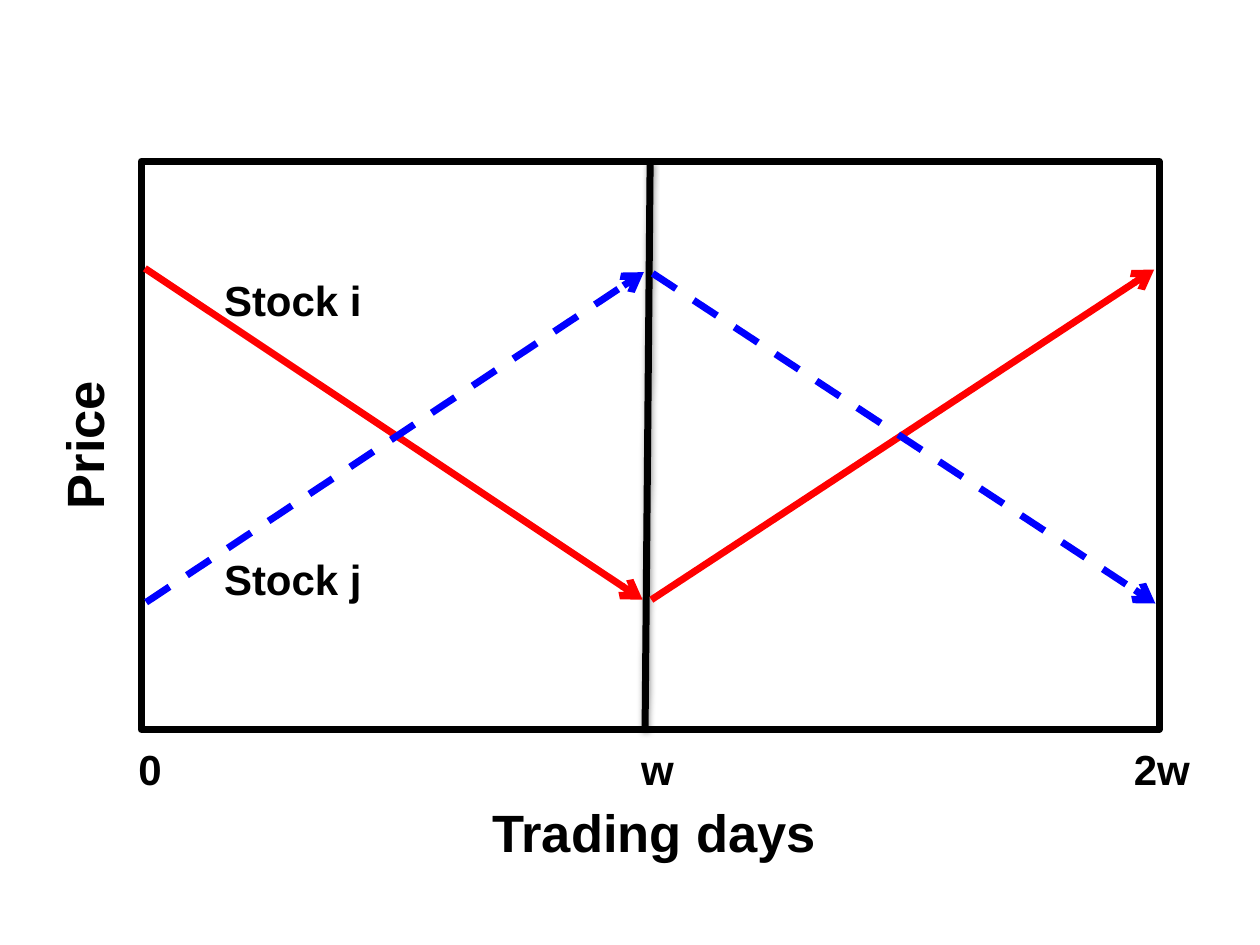
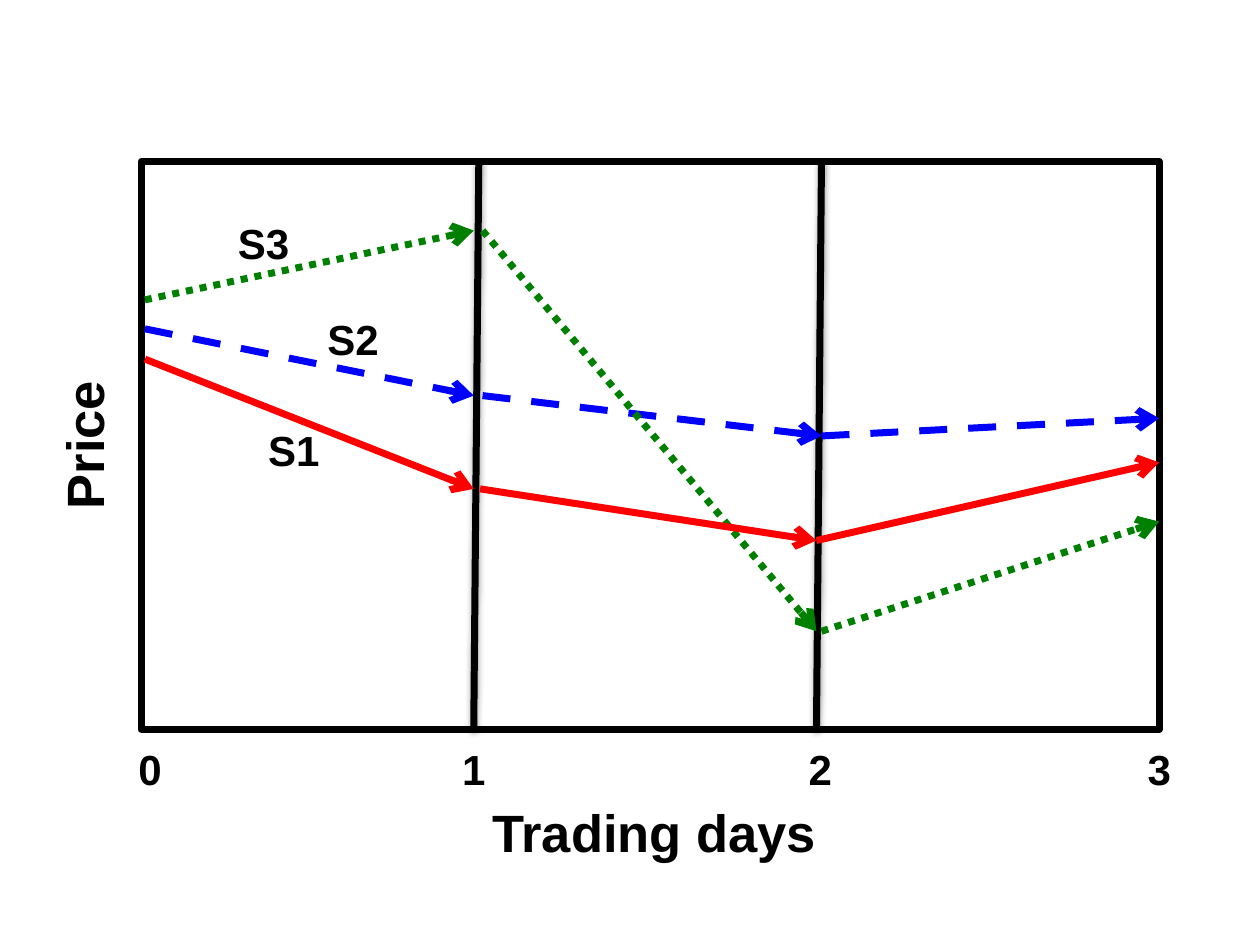
from lxml.etree import SubElement
from pptx import Presentation
from pptx.dml.color import RGBColor
from pptx.enum.dml import MSO_LINE
from pptx.enum.shapes import MSO_CONNECTOR, MSO_SHAPE
from pptx.enum.text import MSO_AUTO_SIZE
from pptx.oxml.ns import qn
from pptx.util import Inches, Pt

COLORS = {"ink": "000000", "red": "FF0000", "blue": "0000FF", "green": "008000"}
DASHES = {"red": None, "blue": MSO_LINE.DASH, "green": MSO_LINE.ROUND_DOT}
FONT = "Arial"
LINE_WIDTH = Pt(4)
LABEL_SIZE, AXIS_SIZE = 24, 30
LABEL_HEIGHT, AXIS_HEIGHT = 0.5, 0.61
FRAME_LEFT, FRAME_TOP, FRAME_WIDTH, FRAME_HEIGHT = 1.12, 1.28, 8.08, 4.51
TICK_TOP = 5.85
DIVIDER_LEAN = 0.04


def color(name):
    """Look up a palette colour."""
    return RGBColor.from_string(COLORS[name])


def add_label(slide, text, left, top, width, height=LABEL_HEIGHT,
              size=LABEL_SIZE, rotation=0):
    """Add bold black text."""
    label = slide.shapes.add_textbox(
        Inches(left), Inches(top), Inches(width), Inches(height))
    label.rotation = rotation
    frame = label.text_frame
    frame.word_wrap = True
    frame.auto_size = MSO_AUTO_SIZE.SHAPE_TO_FIT_TEXT
    paragraph = frame.paragraphs[0]
    paragraph.text = text
    font = paragraph.font
    font.name, font.size, font.bold = FONT, Pt(size), True
    font.color.rgb = color("ink")


def add_line(slide, start, end, color_name):
    """Add a straight line; return it with its empty effect list."""
    line = slide.shapes.add_connector(
        MSO_CONNECTOR.STRAIGHT, *(Inches(v) for v in (*start, *end)))
    line.line.color.rgb = color(color_name)
    line.line.width = LINE_WIDTH
    effects = SubElement(line._element.spPr, qn("a:effectLst"))
    return line, effects


def add_divider(slide, bottom_x):
    """Add a slightly leaning period divider with a soft shadow."""
    _, effects = add_line(slide, (bottom_x + DIVIDER_LEAN, FRAME_TOP),
                          (bottom_x, FRAME_TOP + 4.5), "ink")
    shadow = SubElement(effects, qn("a:outerShdw"), blurRad="40000",
                        dist="20000", dir="5400000", rotWithShape="0")
    shade = SubElement(shadow, qn("a:srgbClr"), val=COLORS["ink"])
    SubElement(shade, qn("a:alpha"), val="38000")


def add_trend(slide, start, end, color_name):
    """Add a price arrow in the dash style of its stock."""
    arrow, _ = add_line(slide, start, end, color_name)
    if DASHES[color_name]:
        arrow.line.dash_style = DASHES[color_name]
    SubElement(arrow.line._get_or_add_ln(), qn("a:tailEnd"), type="arrow")


def add_plot(prs, dividers, ticks, trends, stocks):
    """Add one price diagram: frame, dividers, axes, arrows and labels."""
    slide = prs.slides.add_slide(prs.slide_layouts[6])
    frame = slide.shapes.add_shape(
        MSO_SHAPE.RECTANGLE, Inches(FRAME_LEFT), Inches(FRAME_TOP),
        Inches(FRAME_WIDTH), Inches(FRAME_HEIGHT))
    frame.shadow.inherit = False
    frame.fill.background()
    frame.line.color.rgb = color("ink")
    frame.line.width = LINE_WIDTH
    for bottom_x in dividers:
        add_divider(slide, bottom_x)
    for text, left, width in ticks:
        add_label(slide, text, left, TICK_TOP, width)
    add_label(slide, "Price", 0.02, 3.19, 1.29, AXIS_HEIGHT, AXIS_SIZE, 270)
    add_label(slide, "Trading days", 3.81, 6.3, 3.48, AXIS_HEIGHT, AXIS_SIZE)
    for trend in trends:
        add_trend(slide, *trend)
    for stock in stocks:
        add_label(slide, *stock)


def main():
    """Build both price diagrams."""
    prs = Presentation()
    prs.slide_width, prs.slide_height = Inches(10), Inches(7.5)

    add_plot(
        prs,
        dividers=[5.12],
        ticks=[("0", 1, 0.68), ("w", 4.99, 0.68), ("2w", 8.9, 0.68)],
        trends=[
            ((1.15, 2.13), (5.1, 4.76), "red"),
            ((5.17, 4.76), (9.16, 2.14), "red"),
            ((1.16, 4.78), (5.11, 2.16), "blue"),
            ((5.18, 2.17), (9.17, 4.79), "blue"),
        ],
        stocks=[("Stock j", 1.68, 4.34, 1.64), ("Stock i", 1.68, 2.13, 1.64)],
    )
    add_plot(
        prs,
        dividers=[3.76, 6.48],
        ticks=[("0", 1, 0.68), ("1", 3.57, 0.68), ("2", 6.32, 0.68),
               ("3", 9.01, 0.42)],
        trends=[
            ((1.15, 2.85), (3.76, 3.88), "red"),
            ((1.15, 2.61), (3.76, 3.14), "blue"),
            ((1.15, 2.38), (3.76, 1.83), "green"),
            ((3.83, 3.14), (6.52, 3.46), "blue"),
            ((3.83, 1.83), (6.48, 5.01), "green"),
            ((3.81, 3.88), (6.48, 4.29), "red"),
            ((6.52, 3.46), (9.2, 3.32), "blue"),
            ((6.48, 4.29), (9.2, 3.67), "red"),
            ((6.52, 5.01), (9.2, 4.14), "green"),
        ],
        stocks=[("S1", 2.03, 3.32, 0.69), ("S2", 2.5, 2.44, 0.75),
                ("S3", 1.79, 1.68, 0.71)],
    )
    prs.save("out.pptx")


main()
